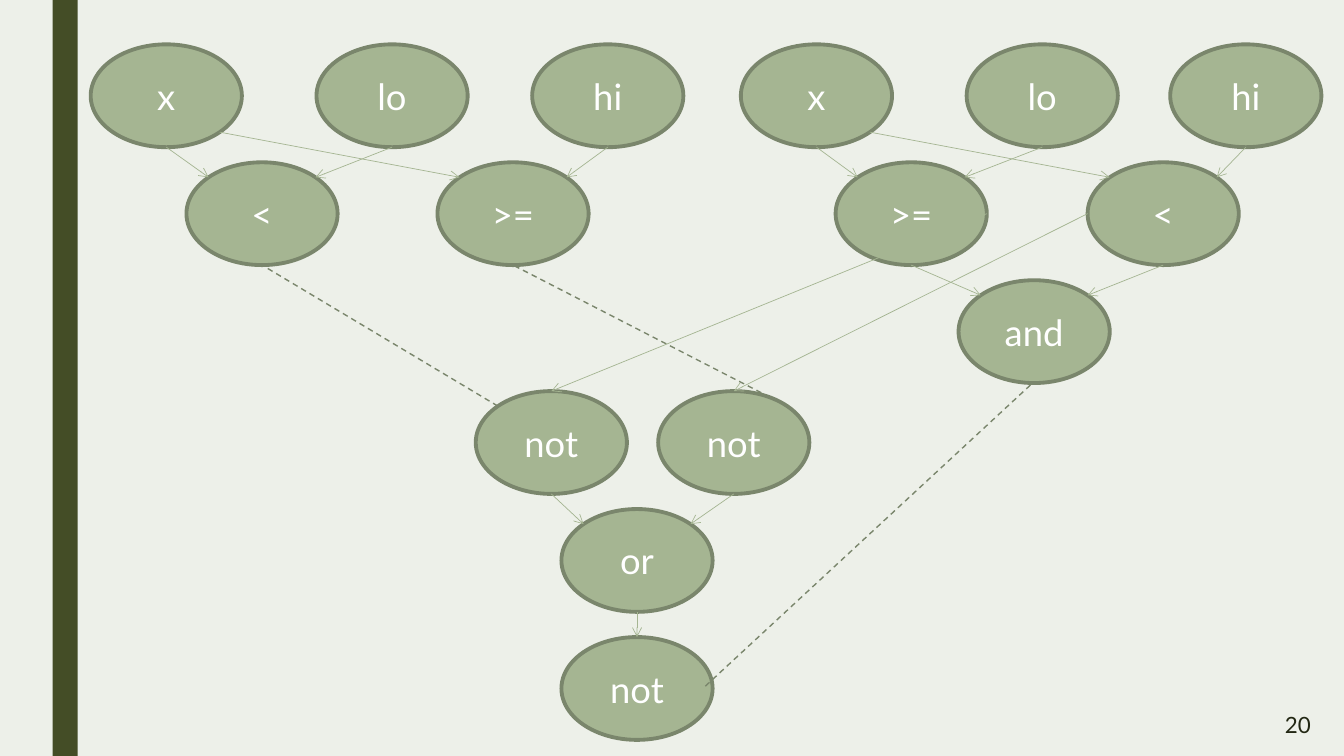
from dataclasses import dataclass

from lxml import etree
from pptx import Presentation
from pptx.dml.color import RGBColor
from pptx.enum import dml, shapes, text
from pptx.oxml.ns import qn
from pptx.util import Pt

COLORS = {"bg": "EDF0E9", "bar": "444D26", "node": "A5B592",
          "edge": "7A866C", "label": "FFFFFF", "number": "222713"}
FONT = "Lato"
NODE_W, NODE_H = 108, 73.44

# Points on a node, as fractions of its width and height
SITES = {"top": (0.5, 0), "left": (0, 0.5), "bottom": (0.5, 1), "right": (1, 0.5),
         "top left": (0.146, 0.146), "top right": (0.854, 0.146),
         "bottom right": (0.854, 0.854),
         "below": (0.475, 1.02), "inner right": (0.95, 0.48)}


@dataclass(frozen=True)
class Node:
    label: str
    x: float
    y: float

    def at(self, site: str) -> tuple:
        fx, fy = SITES[site]
        return Pt(self.x + fx * NODE_W), Pt(self.y + fy * NODE_H)


@dataclass(frozen=True)
class Edge:
    start: str
    start_site: str
    end: str
    end_site: str
    dashed: bool = False


# Rows of the two condition trees and of the combined result
INPUTS, TESTS, AND, NOTS, OR, RESULT = 31.68, 115.92, 200.16, 279.36, 363.6, 455.04
NODES = {
    "x1": Node("x", 64.8, INPUTS), "lo1": Node("lo", 226.08, INPUTS),
    "hi1": Node("hi", 380.16, INPUTS),
    "lt1": Node("<", 133.2, TESTS), "ge1": Node(">=", 312.48, TESTS),
    "x2": Node("x", 529.2, INPUTS), "lo2": Node("lo", 690.48, INPUTS),
    "hi2": Node("hi", 835.92, INPUTS),
    "ge2": Node(">=", 596.88, TESTS), "lt2": Node("<", 776.88, TESTS),
    "and": Node("and", 684.72, AND),
    "not1": Node("not", 339.84, NOTS), "not2": Node("not", 470.16, NOTS),
    "or": Node("or", 401.04, OR), "result": Node("not", 401.04, RESULT),
}

BACK_EDGES = [
    Edge("not2", "top right", "ge1", "bottom", True),
    Edge("not1", "top left", "lt1", "bottom", True),
]
# Each tree feeds x and lo to its first test, x and hi to its second
TREES = [("x1", "lo1", "hi1", "lt1", "ge1"), ("x2", "lo2", "hi2", "ge2", "lt2")]
FRONT_EDGES = [
    edge for x, lo, hi, first, second in TREES for edge in (
        Edge(x, "bottom", first, "top left"),
        Edge(lo, "bottom", first, "top right"),
        Edge(x, "bottom right", second, "top left"),
        Edge(hi, "bottom", second, "top right"))
] + [
    Edge("ge2", "bottom", "and", "top left"),
    Edge("lt2", "bottom", "and", "top right"),
    Edge("ge2", "right", "not1", "top"),
    Edge("lt2", "left", "not2", "top"),
    Edge("not1", "bottom", "or", "top left"),
    Edge("not2", "bottom", "or", "top right"),
    Edge("or", "bottom", "result", "top"),
    Edge("and", "below", "result", "inner right", True),
]


def rgb(name: str) -> RGBColor:
    return RGBColor.from_string(COLORS[name])


def write(tf, label: str, size: float, color: str) -> None:
    tf.vertical_anchor = text.MSO_ANCHOR.MIDDLE
    p = tf.paragraphs[0]
    p.text = label
    p.alignment = text.PP_ALIGN.CENTER
    p.font.name = FONT
    p.font.size = Pt(size)
    p.font.color.rgb = rgb(color)


def add_node(s, node: Node):
    sp = s.shapes.add_shape(shapes.MSO_SHAPE.OVAL, Pt(node.x), Pt(node.y),
                            Pt(NODE_W), Pt(NODE_H))
    sp.shadow.inherit = False
    sp.fill.solid()
    sp.fill.fore_color.rgb = rgb("node")
    sp.line.color.rgb = rgb("edge")
    sp.line.width = Pt(2.75)
    write(sp.text_frame, node.label, 26, "label")
    return sp


def add_edge(s, edge: Edge, ovals: dict) -> None:
    start = NODES[edge.start].at(edge.start_site)
    end = NODES[edge.end].at(edge.end_site)
    cx = s.shapes.add_connector(shapes.MSO_CONNECTOR.STRAIGHT, *start, *end)
    if edge.end_site == "top":
        cx.end_connect(ovals[edge.end], 0)
    cx.line.color.rgb = rgb("edge" if edge.dashed else "node")
    cx.line.width = Pt(1 if edge.dashed else 0.5)
    if edge.dashed:
        cx.line.dash_style = dml.MSO_LINE.DASH
    else:
        etree.SubElement(cx.line._get_or_add_ln(), qn("a:tailEnd"), type="arrow")
    etree.SubElement(cx._element.spPr, qn("a:effectLst"))


def main() -> None:
    prs = Presentation()
    prs.slide_width, prs.slide_height = Pt(960), Pt(540)
    s = prs.slides.add_slide(prs.slide_layouts[6])
    s.background.fill.solid()
    s.background.fill.fore_color.rgb = rgb("bg")

    # Side bar
    bar = s.shapes.add_shape(shapes.MSO_SHAPE.RECTANGLE, Pt(37.5), 0, Pt(18), Pt(540))
    bar.shadow.inherit = False
    bar.fill.solid()
    bar.fill.fore_color.rgb = rgb("bar")
    bar.line.fill.background()

    # Slide number
    number = s.shapes.add_textbox(Pt(864), Pt(500), Pt(126), Pt(34.5))
    number.text_frame.word_wrap = True
    write(number.text_frame, "20", 16, "number")

    # Expression graph
    ovals = {}
    for edge in BACK_EDGES:
        add_edge(s, edge, ovals)
    for key, node in NODES.items():
        ovals[key] = add_node(s, node)
    for edge in FRONT_EDGES:
        add_edge(s, edge, ovals)

    prs.save("out.pptx")


if __name__ == "__main__":
    main()
